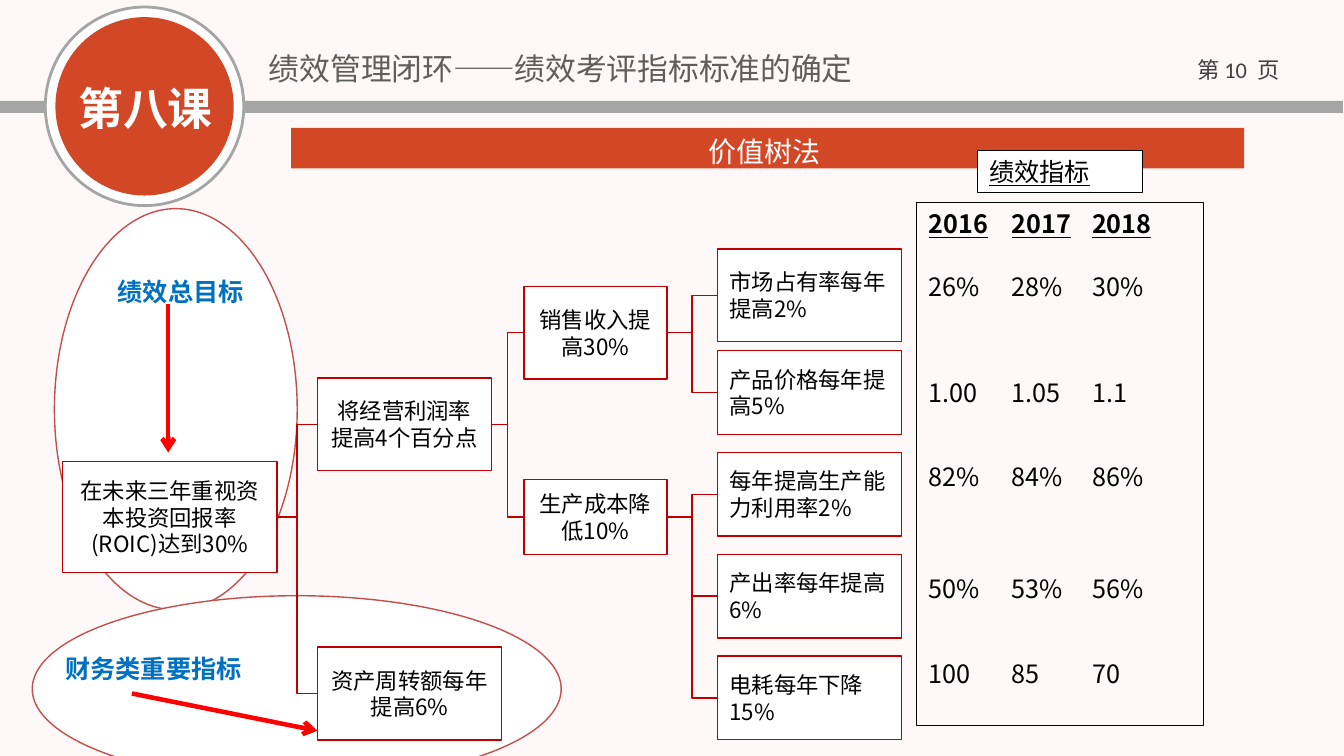
"""Build the value tree slide of a performance management course."""
from lxml import etree
from pptx import Presentation
from pptx import util as u
from pptx.dml.color import RGBColor
from pptx.enum import shapes, text
from pptx.oxml import ns

THEME = {
    "cjk": "Noto Sans CJK SC", "latin": "Calibri",
    "background": "FFF8F8", "white": "FFFFFF", "black": "000000",
    "grey": "A5A5A5", "accent": "D24726", "oval": "C0504D", "tree": "C00000",
    "arrow": "FF0000", "label": "0070C0", "title": "5F5E5C", "page": "3F3F3F",
    "lesson_size": 32, "title_size": 22, "banner_size": 20, "table_size": 18, "box_size": 16,
}
SHAPE = shapes.MSO_SHAPE
LEFT, CENTER = text.PP_ALIGN.LEFT, text.PP_ALIGN.CENTER
TEXT_INSETS = (0.1, 0.05)
BOX_INSETS = (0.12, 0.06)

BACKDROP = [
    (SHAPE.RECTANGLE, (0, 1, 13.33, 0.12), "grey", None, 0),
    (SHAPE.OVAL, (0.45, 0.07, 1.97, 1.97), "white", "grey", 2),
    (SHAPE.OVAL, (0.55, 0.17, 1.77, 1.77), "accent", None, 0),
    (SHAPE.OVAL, (0.54, 2.07, 2.41, 3.98), "white", "oval", 1),
    (SHAPE.OVAL, (0.32, 5.91, 5.25, 1.85), "white", "oval", 1),
    (SHAPE.RECTANGLE, (2.89, 1.27, 9.46, 0.4), "accent", None, 0),
]
LABELS = [
    ("第八课", (0.68, 0.75, 1.57, 1.17), "lesson_size", "white", True, {}),
    ("绩效管理闭环——绩效考评指标标准的确定", (2.57, 0.44, 6.85, 0.47), "title_size", "title", False, {}),
    ("价值树法", (2.89, 1.22, 9.39, 0.5), "banner_size", "white", False,
     {"alignment": CENTER, "line_spacing": 1.2}),
    ("财务类重要指标", (0.55, 6.43, 2.23, 0.4), "table_size", "label", True, {}),
    ("绩效总目标", (1.07, 2.69, 2.23, 0.4), "table_size", "label", True, {}),
]
PAGE_NUMBER = [("第 ", "cjk"), ("10 ", "latin"), (" 页", "cjk")]
PAGE_PLACE = (11.69, 0.51, 1.2, 0.4)
TREE = {
    "return": ("在未来三年重视资本投资回报率(ROIC)达到30%", (0.62, 4.58, 2.13, 1.1), CENTER),
    "profit": ("将经营利润率提高4个百分点", (3.15, 3.75, 1.73, 0.92), CENTER),
    "turnover": ("资产周转额每年提高6%", (3.15, 6.42, 1.83, 0.92), CENTER),
    "sales": ("销售收入提高30%", (5.2, 2.84, 1.42, 0.92), CENTER),
    "cost": ("生产成本降低10%", (5.2, 4.76, 1.42, 0.74), CENTER),
    "share": ("市场占有率每年提高2%", (7.12, 2.47, 1.83, 0.92), LEFT),
}
LEAVES = [
    ("price", "产品价格每年提高5%"),
    ("capacity", "每年提高生产能力利用率2%"),
    ("yield", "产出率每年提高6%"),
    ("power", "电耗每年下降15%"),
]
LEAF_LEFT, LEAF_TOP, LEAF_PITCH, LEAF_WIDTH, LEAF_HEIGHT = 7.12, 3.48, 1.01, 1.83, 0.83
BRANCHES = {
    "return": ["profit", "turnover"],
    "profit": ["sales", "cost"],
    "sales": ["share", "price"],
    "cost": ["capacity", "yield", "power"],
}
INDICATOR_HEADING = ("绩效指标", (9.7, 1.49, 1.64, 0.42))
INDICATOR_PLACE = (9.1, 2.01, 2.85, 5.19)
INDICATOR_TABS = (0.82, 1.62)
INDICATORS = [
    (0, ("2016", "2017", "2018")),
    (23, ("26%", "28%", "30%")),
    (54, ("1.00", "1.05", "1.1")),
    (39, ("82%", "84%", "86%")),
    (58, ("50%", "53%", "56%")),
    (39, ("100", "85", "70")),
]
ARROWS = [(1.67, 3.02, 1.67, 4.49), (1.31, 6.88, 3.15, 7.25)]


def color(name):
    return RGBColor.from_string(THEME[name])


def apply(target, values):
    for name, value in values.items():
        setattr(target, name, value)


def add_shape(slide, kind, place, fill, line, width):
    shape = slide.shapes.add_shape(kind, *map(u.Inches, place))
    shape.shadow.inherit = False
    if fill:
        shape.fill.solid()
        shape.fill.fore_color.rgb = color(fill)
    else:
        shape.fill.background()
    if line:
        apply(shape.line, {"width": u.Pt(width)})
        shape.line.color.rgb = color(line)
    else:
        shape.line.fill.background()
    return shape


def set_frame(shape, insets, anchor=text.MSO_ANCHOR.TOP):
    across, down = map(u.Inches, insets)
    frame = shape.text_frame
    apply(frame, {"word_wrap": True, "vertical_anchor": anchor, "margin_left": across,
                  "margin_right": across, "margin_top": down, "margin_bottom": down})
    return frame


def add_run(paragraph, content, size, ink, font="cjk", **values):
    run = paragraph.add_run()
    run.text = content
    apply(run.font, {"size": u.Pt(THEME[size]), "name": THEME[font], **values})
    run.font.color.rgb = color(ink)
    east_asian = etree.SubElement(run.font._element, ns.qn("a:ea"))
    east_asian.set("typeface", THEME["cjk"])


def add_label(slide, place, **values):
    label = slide.shapes.add_textbox(*map(u.Inches, place))
    paragraph = set_frame(label, TEXT_INSETS).paragraphs[0]
    apply(paragraph, values)
    return paragraph


def add_line(slide, kind, ends, ink, width):
    line = slide.shapes.add_connector(kind, *map(u.Inches, ends))
    line.line.width = u.Pt(width)
    line.line.color.rgb = color(ink)
    etree.SubElement(line._element.spPr, ns.qn("a:effectLst"))
    return line


def add_tree(slide):
    nodes = dict(TREE)
    for row, (name, content) in enumerate(LEAVES):
        place = (LEAF_LEFT, LEAF_TOP + row * LEAF_PITCH, LEAF_WIDTH, LEAF_HEIGHT)
        nodes[name] = (content, place, LEFT)
    boxes = {}
    for name, (content, place, alignment) in nodes.items():
        boxes[name] = add_shape(slide, SHAPE.RECTANGLE, place, "white", "tree", 1)
        paragraph = set_frame(boxes[name], BOX_INSETS, text.MSO_ANCHOR.MIDDLE).paragraphs[0]
        paragraph.alignment = alignment
        add_run(paragraph, content, "box_size", "black")
    for parent, children in BRANCHES.items():
        for child in children:
            branch = add_line(slide, shapes.MSO_CONNECTOR.ELBOW, (0, 0, 1, 1), "tree", 1)
            branch.begin_connect(boxes[parent], 3)
            branch.end_connect(boxes[child], 1)


def add_indicators(slide):
    heading, place = INDICATOR_HEADING
    box = add_shape(slide, SHAPE.RECTANGLE, place, "white", "black", 0.75)
    paragraph = set_frame(box, BOX_INSETS).paragraphs[0]
    paragraph.alignment = LEFT
    add_run(paragraph, heading, "table_size", "black", underline=True)

    panel = add_shape(slide, SHAPE.RECTANGLE, INDICATOR_PLACE, None, "black", 0.75)
    frame = set_frame(panel, BOX_INSETS)
    for row, (gap, values) in enumerate(INDICATORS):
        paragraph = frame.add_paragraph() if row else frame.paragraphs[0]
        tabs = etree.SubElement(paragraph._p.get_or_add_pPr(), ns.qn("a:tabLst"))
        for position in INDICATOR_TABS:
            etree.SubElement(tabs, ns.qn("a:tab"), pos=str(u.Inches(position)), algn="l")
        apply(paragraph, {"alignment": LEFT, "space_before": u.Pt(gap) if row else None})
        header = row == 0
        for column, value in enumerate(values):
            if column:
                add_run(paragraph, "\t", "table_size", "black")
            add_run(paragraph, value, "table_size", "black", bold=header, underline=header)


def main():
    presentation = Presentation()
    apply(presentation, {"slide_width": u.Inches(13.34), "slide_height": u.Inches(7.5)})
    slide = presentation.slides.add_slide(presentation.slide_layouts[6])
    slide.background.fill.solid()
    slide.background.fill.fore_color.rgb = color("background")
    for part in BACKDROP:
        add_shape(slide, *part)
    page = add_label(slide, PAGE_PLACE, alignment=CENTER)
    for content, font in PAGE_NUMBER:
        add_run(page, content, "box_size", "page", font)
    add_tree(slide)
    add_indicators(slide)
    for ends in ARROWS:
        arrow = add_line(slide, shapes.MSO_CONNECTOR.STRAIGHT, ends, "arrow", 3.25)
        etree.SubElement(arrow.line._get_or_add_ln(), ns.qn("a:tailEnd"), type="arrow")
    for content, place, size, ink, bold, layout in LABELS:
        add_run(add_label(slide, place, **layout), content, size, ink, bold=bold)
    presentation.save("out.pptx")


if __name__ == "__main__":
    main()
